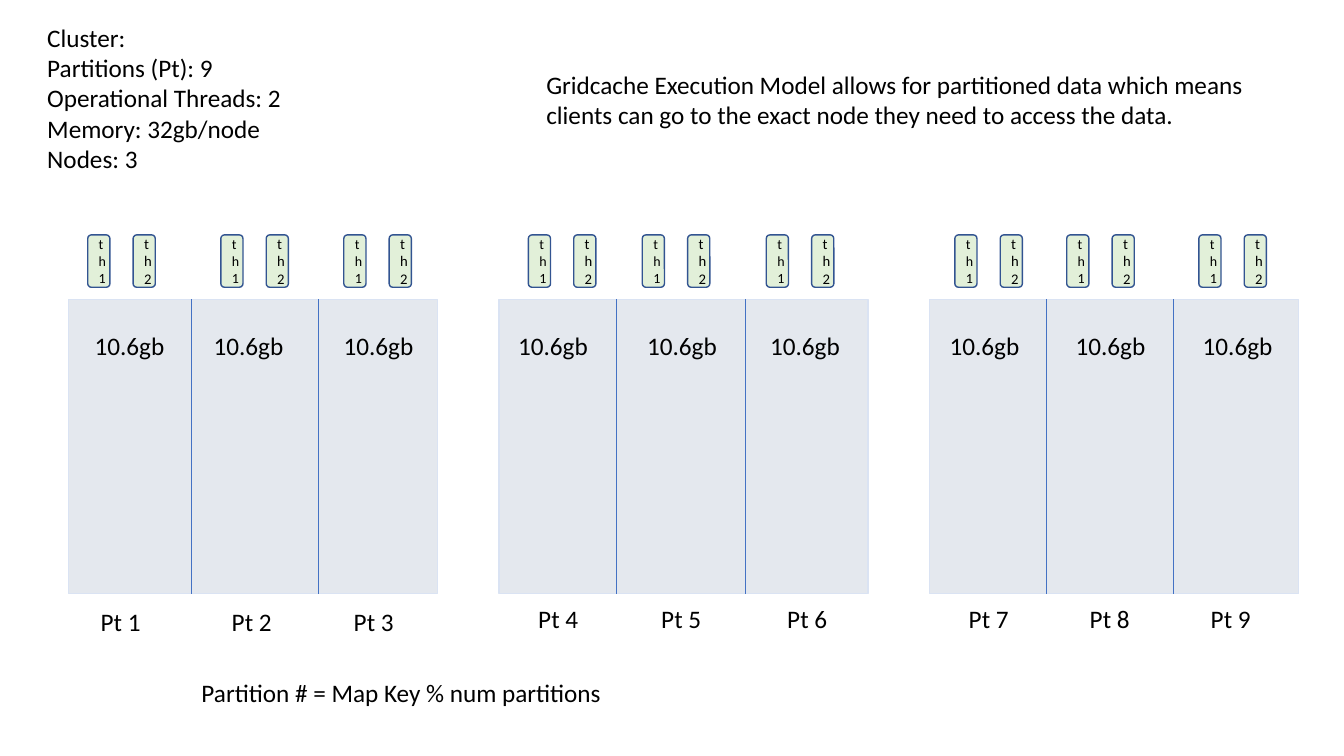
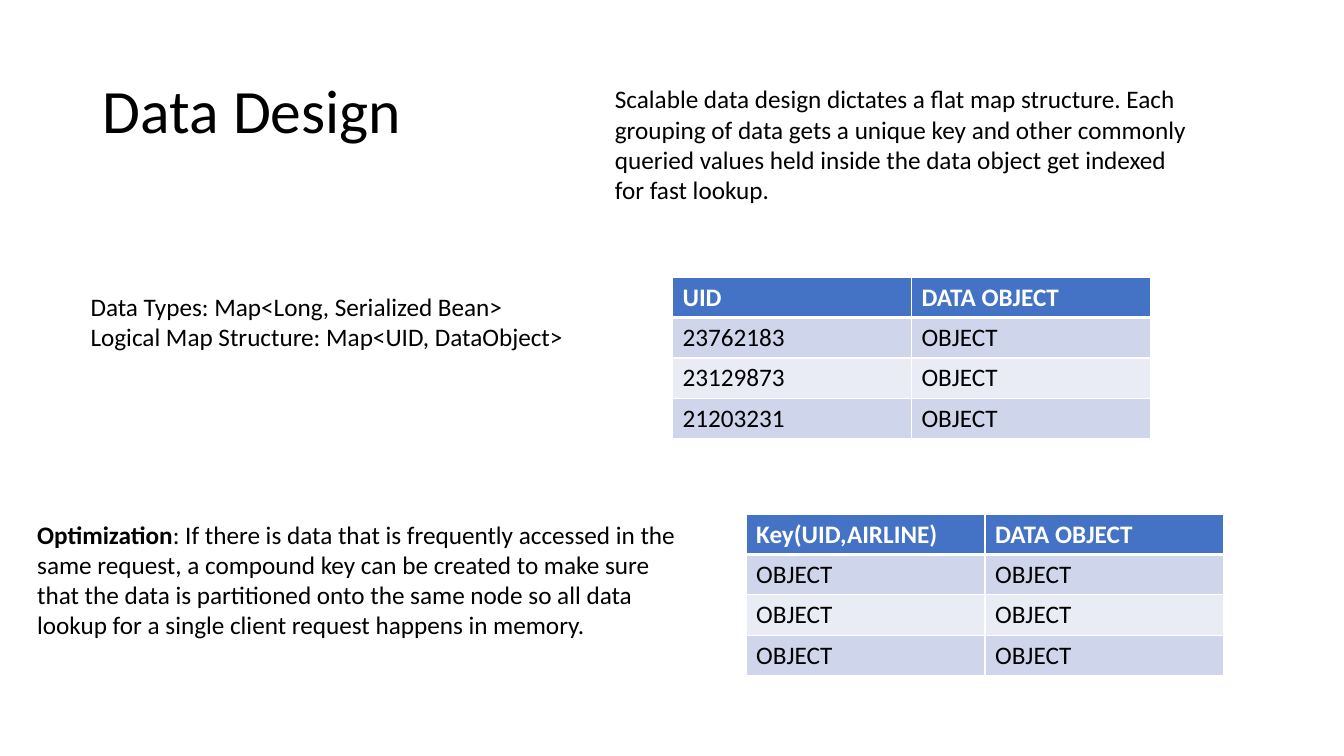
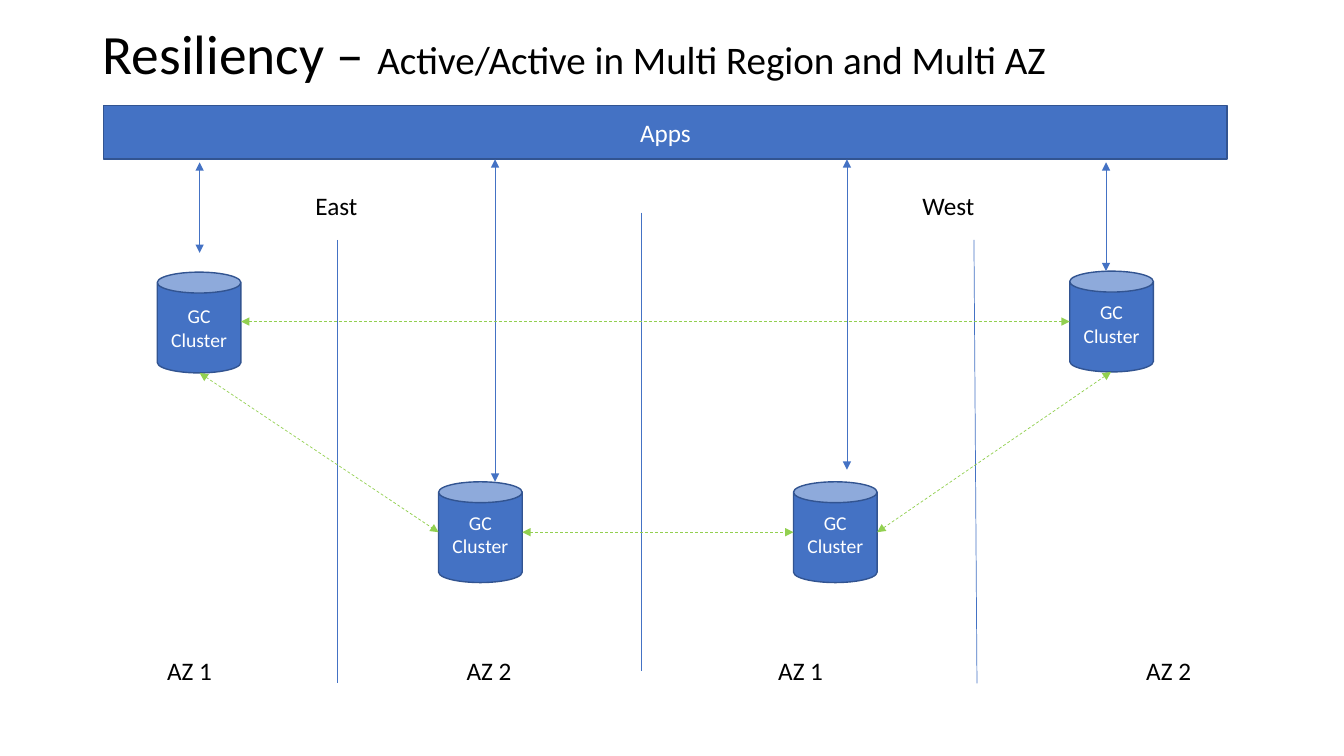
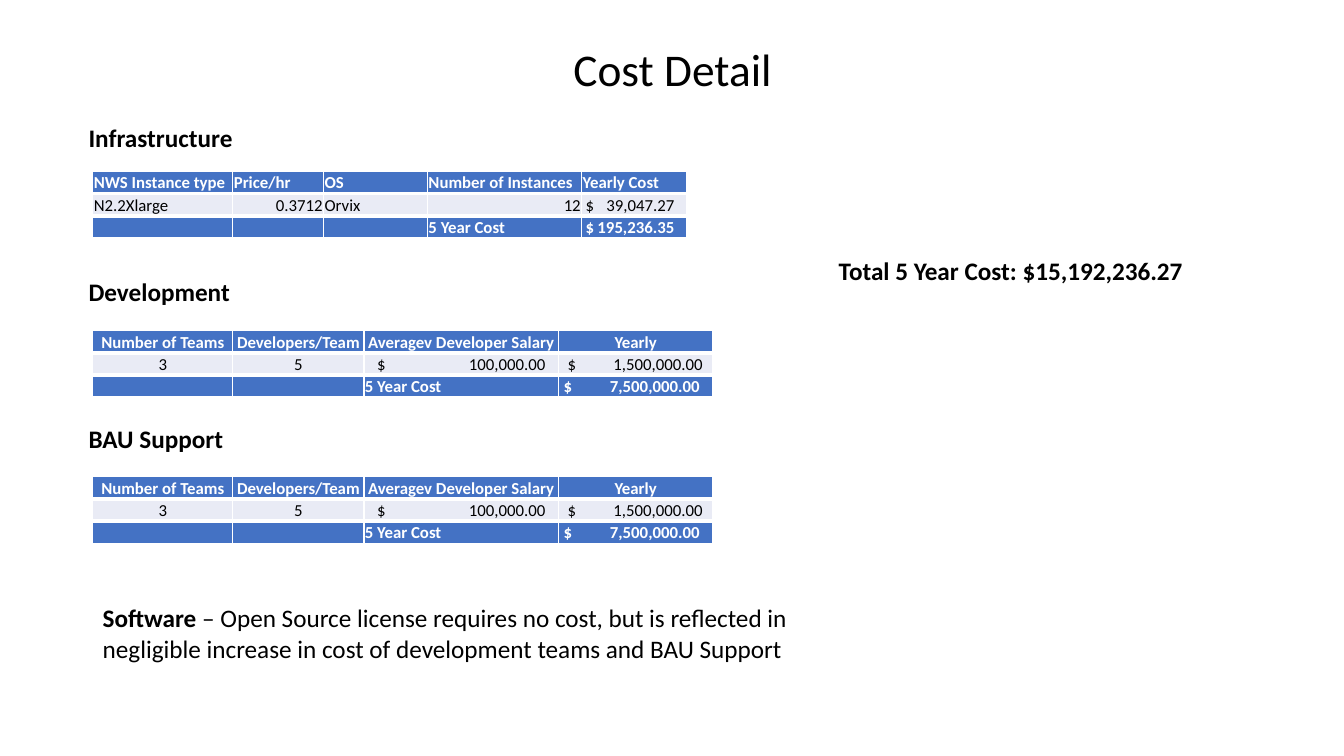
from lxml import etree
from pptx import Presentation
from pptx.dml.color import RGBColor
from pptx.enum import dml, shapes, text
from pptx.oxml.ns import qn
from pptx.util import Inches, Pt

FONT = "Calibri"
BLACK = RGBColor(0x00, 0x00, 0x00)
WHITE = RGBColor(0xFF, 0xFF, 0xFF)
BLUE = RGBColor(0x44, 0x72, 0xC4)
DARK_BLUE = RGBColor(0x32, 0x54, 0x91)
PALE_BLUE = RGBColor(0xDA, 0xE3, 0xF3)
NODE_GREY = RGBColor(0xD6, 0xDC, 0xE5)
PALE_GREEN = RGBColor(0xE2, 0xF0, 0xD9)
GREEN = RGBColor(0x92, 0xD0, 0x50)
BAND_DARK = RGBColor(0xCF, 0xD5, 0xEA)
BAND_LIGHT = RGBColor(0xE9, 0xEB, 0xF5)

LEFT, CENTER, RIGHT = text.PP_ALIGN.LEFT, text.PP_ALIGN.CENTER, text.PP_ALIGN.RIGHT
TITLE_ONLY, BLANK = 5, 6

# Slide 1: partitions
CLUSTER_FACTS = ["Cluster:", "Partitions (Pt): 9", "Operational Threads: 2",
                 "Memory: 32gb/node", "Nodes: 3"]
MODEL = ("Gridcache Execution Model allows for partitioned data which means clients "
         "can go to the exact node they need to access the data.")
KEY_RULE = "Partition # = Map Key % num partitions"
PARTITION_MEMORY = "10.6gb"
NODE_LEFT, NODE_STEP, NODE_TOP, NODE_WIDTH, NODE_HEIGHT = 0.68, 4.27, 2.97, 3.66, 2.92
THREAD_TOP, THREAD_STEP = 2.33, 0.45
# Each partition: left of its label, memory size and first thread
NODES = [
    {"dividers": (1.9, 3.16), "label_top": 5.97,
     "partitions": [(0.9, 0.84, 0.87), (2.2, 2.02, 2.19), (3.41, 3.31, 3.41)]},
    {"dividers": (6.11, 7.39), "label_top": 5.94,
     "partitions": [(5.24, 5.04, 5.24), (6.46, 6.32, 6.37), (7.71, 7.54, 7.6)]},
    {"dividers": (10.38, 11.64), "label_top": 5.94,
     "partitions": [(9.51, 9.32, 9.47), (10.71, 10.57, 10.58), (11.91, 11.83, 11.89)]},
]

# Slide 2: data design
FLAT_MAP = ("Scalable data design dictates a flat map structure. Each grouping of data "
            "gets a unique key and other commonly queried values held inside the data "
            "object get indexed for fast lookup.")
MAP_TYPES = ["Data Types: Map<Long, Serialized Bean>",
             "Logical Map Structure: Map<UID, DataObject>"]
OPTIMIZATION = [("Optimization", True),
                (": If there is data that is frequently accessed in the same request, a "
                 "compound key can be created to make sure that the data is partitioned "
                 "onto the same node so all data lookup for a single client request "
                 "happens in memory.", False)]
MAP_TABLES = [
    (6.67, 2.75, [("UID", "DATA OBJECT"), ("23762183", "OBJECT"),
                  ("23129873", "OBJECT"), ("21203231", "OBJECT")]),
    (7.4, 5.1, [("Key(UID,AIRLINE)", "DATA OBJECT")] + [("OBJECT", "OBJECT")] * 3),
]

# Slide 3: resiliency
REGIONS = [("East", 3.03), ("West", 9.05)]
ZONES = [("AZ 1", 1.56), ("AZ 2", 4.53), ("AZ 1", 7.62), ("AZ 2", 11.27)]
ZONE_BORDERS = [(6.36, 2.11, 6.36, 6.66), (3.35, 2.38, 3.35, 6.78), (9.66, 2.38, 9.69, 6.78)]
# Left, top and bottom margin of the text
CLUSTERS = [(1.56, 2.7, 0.05), (4.35, 4.78, 0.11), (10.61, 2.69, 0.11), (7.87, 4.78, 0.11)]
REPLICATION = [(2.39, 3.19, 10.61, 3.19), (5.18, 5.28, 7.87, 5.28),
               (1.98, 3.7, 4.35, 5.28), (11.02, 3.69, 8.7, 5.28)]
APP_CALLS = [(1.98, 1.61, 2.51), (4.91, 1.58, 4.78), (8.4, 1.58, 4.66), (10.97, 1.61, 2.69)]

# Slide 4: costs; an amount is (digits, left margin, right tab stop)
INFRASTRUCTURE = {
    "widths": (1.39, 0.9, 1.03, 1.53, 1.04),
    "header_align": LEFT,
    "aligns": (LEFT, RIGHT, LEFT, RIGHT, LEFT),
    "rows": [("NWS Instance type", "Price/hr", "OS", "Number of Instances", "Yearly Cost"),
             ("N2.2Xlarge", "0.3712", "Orvix", "12", ("39,047.27", 0.04, 0.88)),
             ("", "", "", "5 Year Cost", ("195,236.35", 0.04, 0.88))],
}
STAFF = {
    "widths": (1.39, 1.3, 1.93, 1.53),
    "header_align": CENTER,
    "aligns": (CENTER, CENTER, LEFT, LEFT),
    "rows": [("Number of Teams", "Developers/Team", "Averagev Developer Salary", "Yearly"),
             ("3", "5", ("100,000.00", 0.13, 1.67), ("1,500,000.00", 0.09, 1.34)),
             ("", "", "5 Year Cost", ("7,500,000.00", 0.05, 1.35))],
}
COST_BLOCKS = [("Infrastructure", 1.16, 1.7, INFRASTRUCTURE),
               ("Development", 2.69, 3.28, STAFF),
               ("BAU Support", 4.15, 4.73, STAFF)]
SOFTWARE = [("Software", True),
            (" – Open Source license requires no cost, but is reflected in negligible "
             "increase in cost of development teams and BAU Support", False)]
TOTAL = "Total 5 Year Cost: $15,192,236.27"


def set_font(font, size, color=BLACK, bold=False):
    font.name, font.size, font.bold = FONT, Pt(size), bold
    font.color.rgb = color


def add_runs(paragraph, runs):
    for words, bold in runs:
        run = paragraph.add_run()
        run.text = words
        run.font.bold = bold


def add_text(slide, left, top, width, height, lines, bold=False):
    """Each line is a string or a list of (words, bold) runs."""
    frame = slide.shapes.add_textbox(*map(Inches, (left, top, width, height))).text_frame
    frame.word_wrap = True
    for number, line in enumerate(lines):
        paragraph = frame.add_paragraph() if number else frame.paragraphs[0]
        set_font(paragraph.font, 18, bold=bold)
        add_runs(paragraph, [(line, bold)] if isinstance(line, str) else line)


def add_title(slide, box, runs, align=LEFT):
    """Each run is (words, size)."""
    title = slide.shapes.title
    title.left, title.top, title.width, title.height = map(Inches, box)
    frame = title.text_frame
    frame.auto_size = text.MSO_AUTO_SIZE.NONE
    frame.vertical_anchor = text.MSO_ANCHOR.MIDDLE
    paragraph = frame.paragraphs[0]
    paragraph.alignment, paragraph.line_spacing = align, 0.9
    for words, size in runs:
        run = paragraph.add_run()
        run.text = words
        set_font(run.font, size)


def add_box(slide, kind, box, fill, outline, label="", size=18, color=WHITE):
    shape = slide.shapes.add_shape(kind, *map(Inches, box))
    shape.shadow.inherit = False
    shape.fill.solid()
    shape.fill.fore_color.rgb = fill
    shape.line.color.rgb, shape.line.width = outline, Pt(1)
    if label:
        paragraph = shape.text_frame.paragraphs[0]
        paragraph.text, paragraph.alignment = label, CENTER
        set_font(paragraph.font, size, color)
    return shape


def add_line(slide, ends, color=BLUE, arrows=False, dashed=False):
    line = slide.shapes.add_connector(shapes.MSO_CONNECTOR.STRAIGHT, *map(Inches, ends))
    line.line.color.rgb, line.line.width = color, Pt(0.5)
    if dashed:
        line.line.dash_style = dml.MSO_LINE.DASH
    properties = line._element.spPr
    if arrows:
        for end in ("a:headEnd", "a:tailEnd"):
            etree.SubElement(properties.find(qn("a:ln")), qn(end), type="triangle")
    etree.SubElement(properties, qn("a:effectLst"))


def set_borders(cell, top=1, bottom=1):
    properties = cell._tc.get_or_add_tcPr()
    for side, points in (("L", 1), ("R", 1), ("T", top), ("B", bottom)):
        border = etree.SubElement(properties, qn(f"a:ln{side}"), w=str(Pt(points)))
        fill = etree.SubElement(border, qn("a:solidFill"))
        etree.SubElement(fill, qn("a:srgbClr"), val=str(WHITE))


def fill_cell(cell, content, size, align, strong):
    paragraph = cell.text_frame.paragraphs[0]
    paragraph.alignment = align
    set_font(paragraph.font, size, WHITE if strong else BLACK, strong)
    if isinstance(content, tuple):
        amount, margin, stop = content
        cell.margin_left = Inches(margin)
        tabs = etree.Element(qn("a:tabLst"))
        etree.SubElement(tabs, qn("a:tab"), pos=str(Inches(stop)), algn="r")
        paragraph._p.get_or_add_pPr().find(qn("a:defRPr")).addprevious(tabs)
        content = f"$\t{amount}"
    if content:
        paragraph.add_run().text = content
    else:
        etree.SubElement(paragraph._p, qn("a:endParaRPr"), sz=str(size * 100))


def add_table(slide, left, top, widths, row_height, rows, size, bands, header_align=LEFT,
              aligns=None, total=False, tight=False):
    """Blue header, banded body and, if total is set, a blue last row."""
    frame = slide.shapes.add_table(len(rows), len(widths), *map(
        Inches, (left, top, sum(widths), row_height * len(rows))))
    table = frame.table
    table.first_row = table.horz_banding = False
    for column, width in zip(table.columns, widths):
        column.width = Inches(width)
    for r, row in enumerate(rows):
        is_total = total and r == len(rows) - 1
        strong = r == 0 or is_total
        table.rows[r].height = Inches(row_height)
        for c, content in enumerate(row):
            cell = table.cell(r, c)
            set_borders(cell, top=3 if is_total else 1, bottom=1 if r else 3)
            cell.fill.solid()
            cell.fill.fore_color.rgb = BLUE if strong else bands[(r - 1) % len(bands)]
            if tight:
                cell.vertical_anchor = text.MSO_ANCHOR.BOTTOM
                cell.margin_left = cell.margin_right = cell.margin_top = Inches(0.01)
                cell.margin_bottom = 0
            align = aligns[c] if aligns and r and not is_total else LEFT
            fill_cell(cell, content, size, align if r else header_align, strong)


def build_partitions(slide):
    for number, node in enumerate(NODES):
        box = (NODE_LEFT + number * NODE_STEP, NODE_TOP, NODE_WIDTH, NODE_HEIGHT)
        body = add_box(slide, shapes.MSO_SHAPE.RECTANGLE, box, NODE_GREY, PALE_BLUE)
        tint = body._element.spPr.find(qn("a:solidFill"))[0]
        etree.SubElement(tint, qn("a:alpha"), val="64000")
        for x in node["dividers"]:
            add_line(slide, (x, NODE_TOP, x, NODE_TOP + NODE_HEIGHT))
        for place, (label, memory, thread) in enumerate(node["partitions"], 1):
            name = f"Pt {number * len(node['partitions']) + place}"
            add_text(slide, label, node["label_top"], 0.83, 0.4, [name])
            add_text(slide, memory, 3.23, 0.96, 0.4, [PARTITION_MEMORY])
            for index, size in enumerate((10, 10.5)):
                add_box(slide, shapes.MSO_SHAPE.ROUNDED_RECTANGLE,
                        (thread + index * THREAD_STEP, THREAD_TOP, 0.22, 0.52),
                        PALE_GREEN, DARK_BLUE, f"th{index + 1}", size, BLACK)
    add_text(slide, 0.37, 0.17, 3.49, 1.62, CLUSTER_FACTS)
    add_text(slide, 5.32, 0.64, 7.35, 0.71, [MODEL])
    add_text(slide, 1.9, 6.67, 8.91, 0.4, [KEY_RULE])


def build_data_design(slide):
    add_title(slide, (0.92, 0.4, 11.5, 1.45), [("Data Design", 44)])
    add_text(slide, 6, 0.78, 5.89, 1.31, [FLAT_MAP])
    add_text(slide, 0.8, 2.84, 5.64, 0.71, MAP_TYPES)
    add_text(slide, 0.27, 5.1, 6.69, 1.31, [OPTIMIZATION])
    for left, top, rows in MAP_TABLES:
        add_table(slide, left, top, (2.37, 2.37), 0.4, rows, 18, (BAND_DARK, BAND_LIGHT))


def build_resiliency(slide):
    add_title(slide, (0.92, 0.4, 10.35, 0.33),
              [("Resiliency – ", 39.6), ("Active/Active in Multi Region and Multi AZ", 27.9)])
    for ends in ZONE_BORDERS:
        add_line(slide, ends)
    for name, left in REGIONS:
        add_text(slide, left, 1.84, 0.94, 0.4, [name])
    for name, left in ZONES:
        add_text(slide, left, 6.45, 0.77, 0.4, [name])
    for left, top, margin in CLUSTERS:
        cluster = add_box(slide, shapes.MSO_SHAPE.CAN, (left, top, 0.83, 1), BLUE, DARK_BLUE,
                          "GC Cluster", 14)
        cluster.text_frame.margin_bottom = Inches(margin)
    add_box(slide, shapes.MSO_SHAPE.RECTANGLE, (1.03, 1.05, 11.14, 0.53), BLUE, DARK_BLUE, "Apps")
    for x, top, bottom in APP_CALLS:
        add_line(slide, (x, top, x, bottom), arrows=True)
    for ends in REPLICATION:
        add_line(slide, ends, GREEN, arrows=True, dashed=True)


def build_cost_detail(slide):
    add_title(slide, (0.92, 0.4, 11.5, 0.63), [("Cost Detail", 32.4)], CENTER)
    for heading, heading_top, table_top, costs in COST_BLOCKS:
        add_text(slide, 0.78, heading_top, 1.73, 0.4, [heading], bold=True)
        add_table(slide, 0.92, table_top, row_height=0.22, size=12, bands=(BAND_LIGHT,),
                  total=True, tight=True, **costs)
    add_text(slide, 0.92, 5.93, 7.61, 0.71, [SOFTWARE])
    add_text(slide, 8.22, 2.48, 3.95, 0.4, [TOTAL], bold=True)


def main():
    deck = Presentation()
    deck.slide_width, deck.slide_height = Inches(13.33), Inches(7.5)
    for layout, build in ((BLANK, build_partitions), (TITLE_ONLY, build_data_design),
                          (TITLE_ONLY, build_resiliency), (TITLE_ONLY, build_cost_detail)):
        build(deck.slides.add_slide(deck.slide_layouts[layout]))
    deck.save("out.pptx")


if __name__ == "__main__":
    main()
